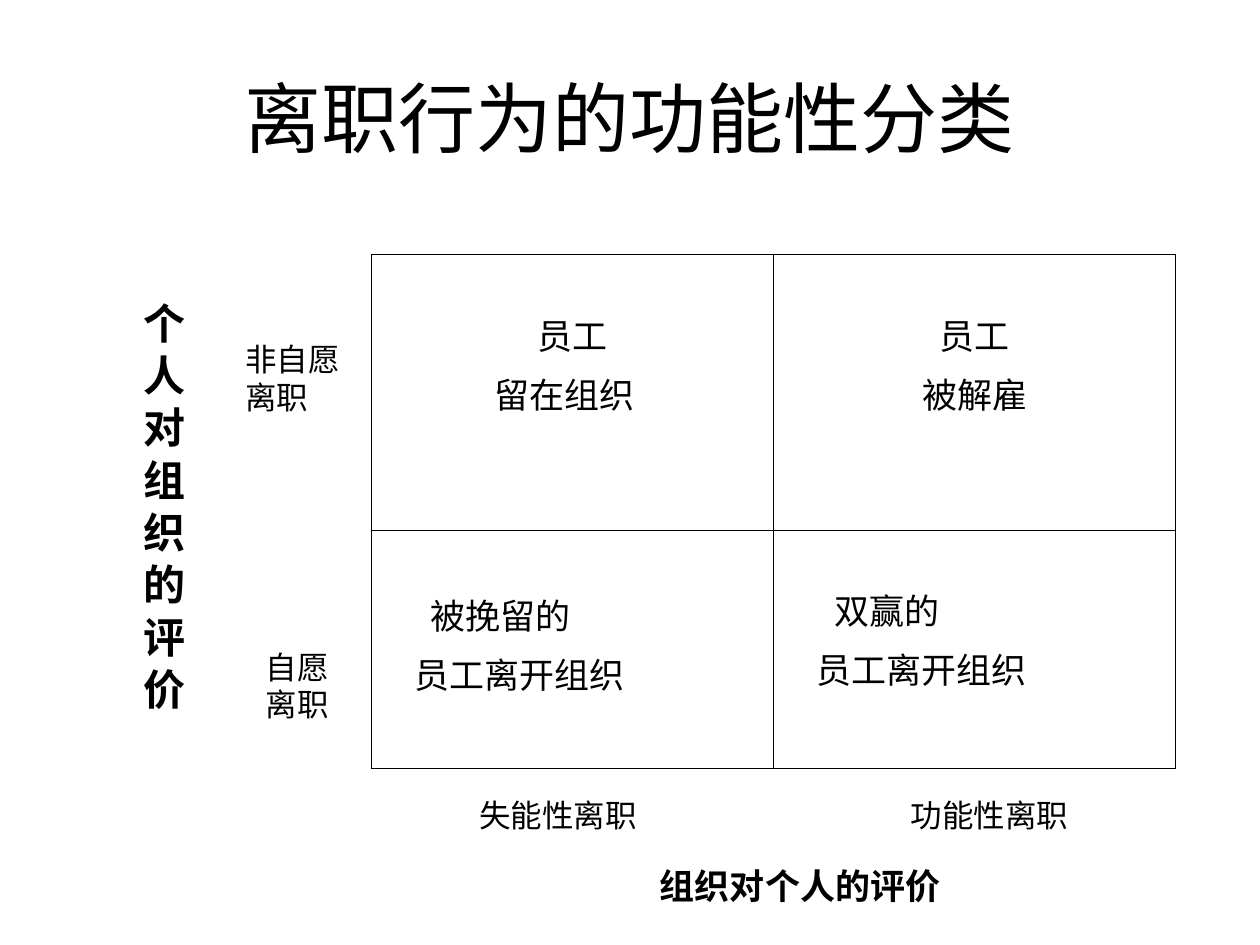
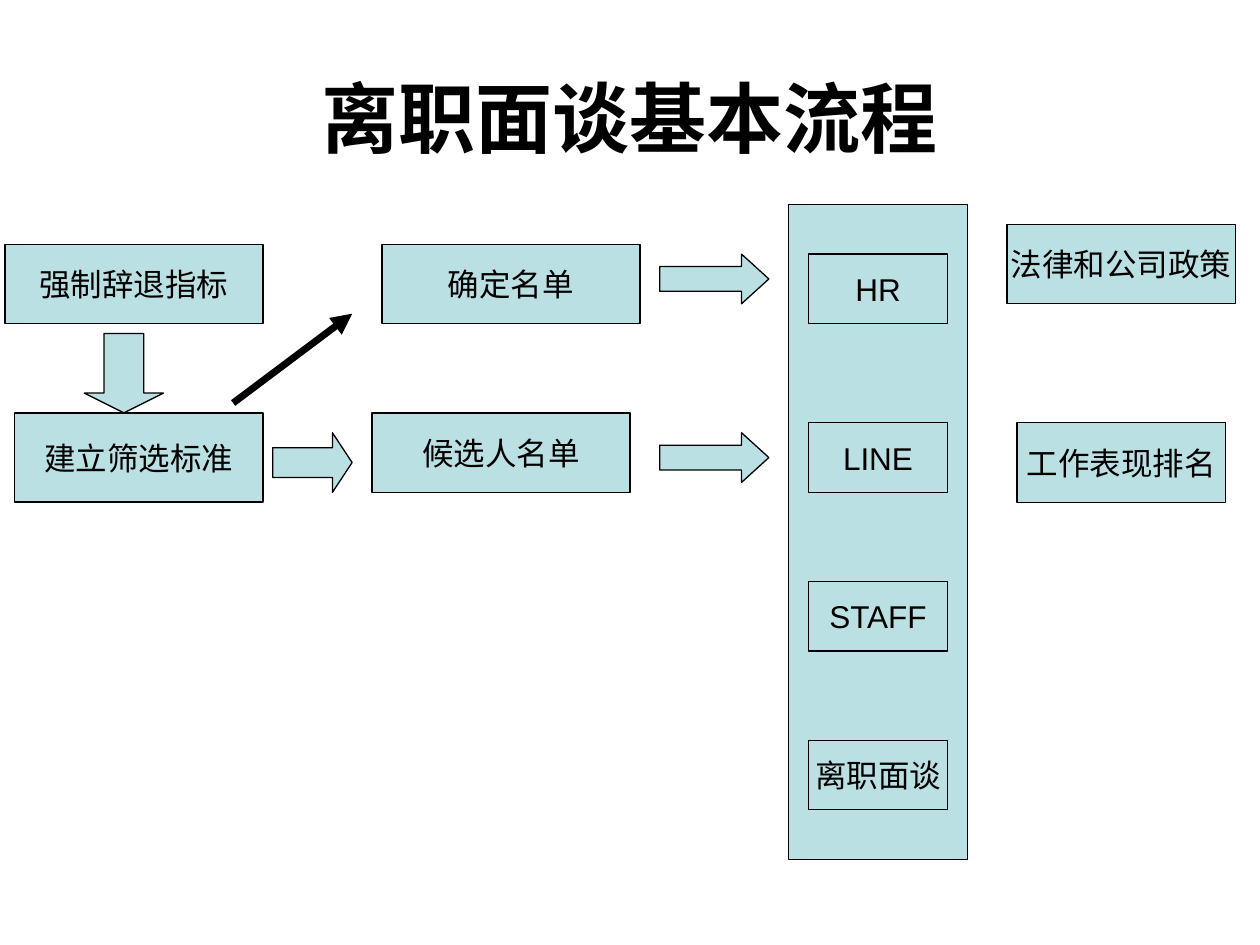
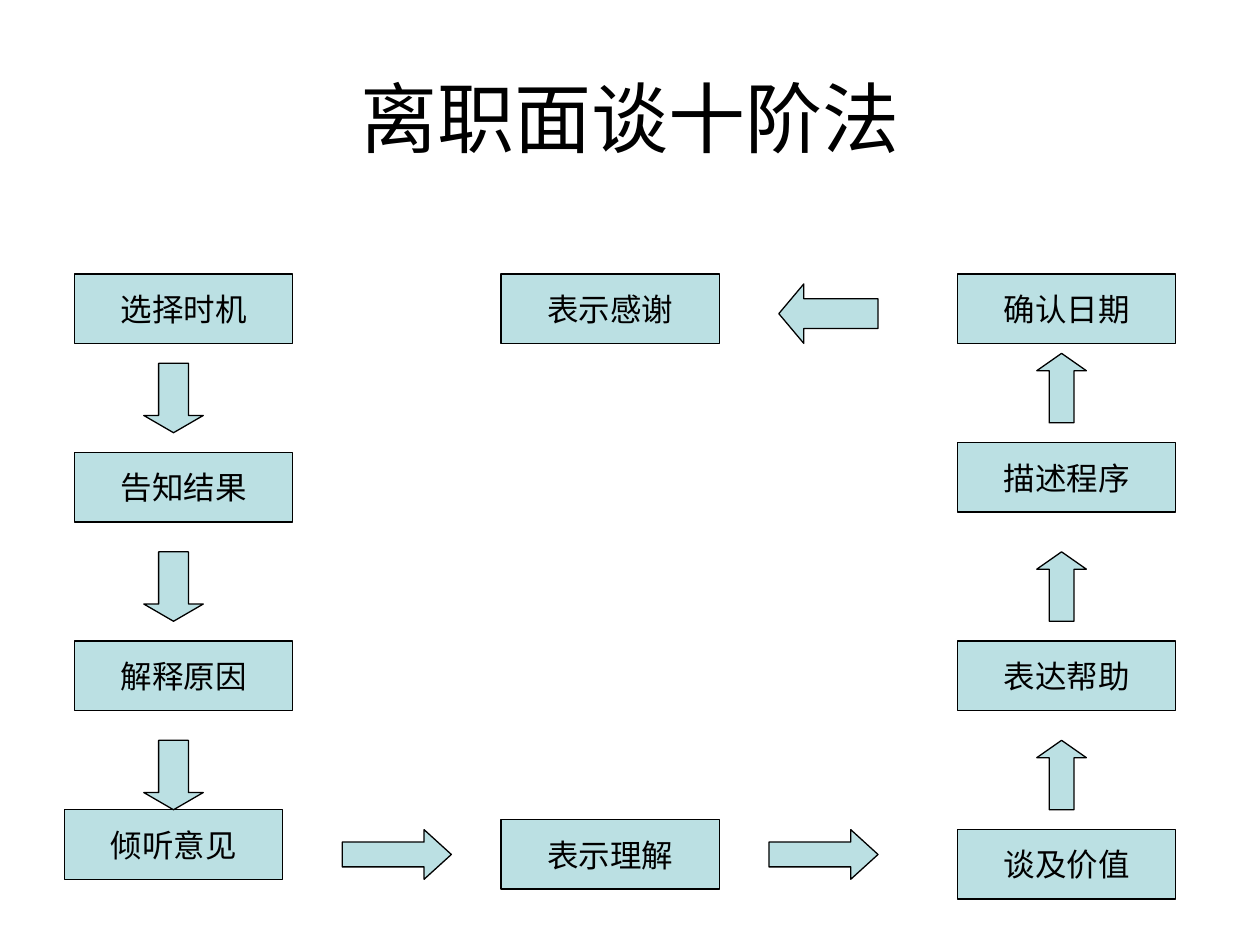
from dataclasses import dataclass

from lxml import etree
from pptx import Presentation
from pptx import util as u
from pptx.dml.color import RGBColor
from pptx.enum import shapes, text
from pptx.oxml import ns


@dataclass(frozen=True)
class Theme:
    ink: str = "000000"
    fill: str = "BBE0E3"
    latin: str = "Arial"
    chinese: str = "Noto Sans CJK SC"
    title: int = 44
    axis: int = 24
    cell: int = 20
    body: int = 18
    outline: float = 0.75
    table_line: float = 0.45
    arrow_line: float = 4
    leading: float = 1.2


THEME = Theme()
CENTER = text.PP_ALIGN.CENTER
MIDDLE = text.MSO_ANCHOR.MIDDLE
SHAPE = shapes.MSO_SHAPE

# Flow charts sit on a square grid; places below are in grid steps
STEP, GRID_LEFT, GRID_TOP = 5.67, 2.8, 3.5

# Slide 1: matrix of leaving behaviour
MATRIX_TITLE = "离职行为的功能性分类"
MATRIX_AT = (212.4, 145.4)
COLUMN_WIDTH = 229.7
ROW_HEIGHTS = (157.5, 136)
# Cell lines, then alignment, left and top margin, indent per line, right indent per line
MATRIX = [
    [(["员工", "留在组织"], CENTER, 7.2, 31, (0, 0), (0, 9)),
     (["员工", "被解雇"], CENTER, 7.2, 31, (0, 0), (0, 0))],
    [(["被挽留的", "员工离开组织"], None, 24.5, 33.5, (9, 0), (0, 0)),
     (["双赢的", "员工离开组织"], None, 24.5, 30.5, (10, 0), (0, 0))],
]
MATRIX_LABELS = [
    (["非自愿", "离职"], (133.2, 190.8, 124.6, 50.4), THEME.body, False),
    (["自愿", "离职"], (144.7, 366.5, 74.9, 50.4), THEME.body, False),
    (["失能性离职"], (266.7, 451.4, 150, 28.8), THEME.body, False),
    (["功能性离职"], (513.4, 451.4, 138.2, 28.8), THEME.body, False),
    (["组织对个人的评价"], (370, 490.3, 177.1, 31.7), THEME.cell, True),
]
AXIS_LABEL = "个 人 对 组 织 的 评 价"
AXIS_AT = (67.7, 165.6, 43.2, 319.7)

# Slide 2: column, row, width, height
PROCESS_TITLE = "离职面谈基本流程"
PANEL = (79, 20, 18, 66)
PROCESS_BOXES = [
    ("强制辞退指标", 0, 24, 26, 8),
    ("建立筛选标准", 1, 41, 25, 9),
    ("确定名单", 38, 24, 26, 8),
    ("候选人名单", 37, 41, 26, 8),
    ("HR", 81, 25, 14, 7),
    ("LINE", 81, 42, 14, 7),
    ("STAFF", 81, 58, 14, 7),
    ("离职面谈", 81, 74, 14, 7),
    ("法律和公司政策", 101, 22, 23, 8),
    ("工作表现排名", 102, 42, 21, 8),
]
PROCESS_ARROWS = [
    (SHAPE.DOWN_ARROW, 0.25, (8, 33, 8, 8)),
    (SHAPE.RIGHT_ARROW, 0.33, (27, 43, 8, 6)),
    (SHAPE.RIGHT_ARROW, 0.55, (66, 25, 11, 5)),
    (SHAPE.RIGHT_ARROW, 0.55, (66, 43, 11, 5)),
]
SHORTCUT = ((23, 40), (35, 31))

# Slide 3: equal boxes, then arrows by kind
STEPS_TITLE = "离职面谈十阶法"
STEP_SIZE = (22, 7)
STEPS = [
    ("选择时机", 7, 27), ("告知结果", 7, 45), ("解释原因", 7, 64),
    ("倾听意见", 6, 81), ("表示理解", 50, 82), ("谈及价值", 96, 83),
    ("表达帮助", 96, 64), ("描述程序", 96, 44), ("确认日期", 96, 27),
    ("表示感谢", 50, 27),
]
STEP_ARROWS = (
    [(SHAPE.DOWN_ARROW, 0.29, (14, row, 6, 7)) for row in (36, 55, 74)]
    + [(SHAPE.RIGHT_ARROW, 0.55, (column, 83, 11, 5)) for column in (34, 77)]
    + [(SHAPE.UP_ARROW, 0.35, (104, row, 5, 7)) for row in (74, 55, 35)]
    + [(SHAPE.LEFT_ARROW, 0.42, (78, 28, 10, 6))]
)


def points(values):
    return [u.Pt(value) for value in values]


def color(value):
    return RGBColor.from_string(value)


def grid(column, row):
    return GRID_LEFT + column * STEP, GRID_TOP + row * STEP


def write(frame, lines, size=THEME.body, bold=False, font=THEME.latin, align=None,
          leading=THEME.leading, before=0, anchor=None, wrap=True):
    """Fill a text frame, one paragraph a line."""
    frame.word_wrap = wrap
    if anchor is not None:
        frame.vertical_anchor = anchor
    for number, line in enumerate(lines):
        para = frame.add_paragraph() if number else frame.paragraphs[0]
        para.alignment = align
        if leading:
            para.line_spacing = u.Pt(size * leading)
        if number and before:
            para.space_before = u.Pt(before)
        span = para.add_run()
        span.text = line
        span.font.size, span.font.bold, span.font.name = u.Pt(size), bold, font
        span.font.color.rgb = color(THEME.ink)
        etree.SubElement(span.font._element, ns.qn("a:ea"), typeface=font)


def add_text(page, lines, place, **style):
    box = page.shapes.add_textbox(*points(place))
    write(box.text_frame, lines, **style)
    return box


def add_page(deck, title, bold=False):
    page = deck.slides.add_slide(deck.slide_layouts[6])
    add_text(page, [title], (36, 21.6, 648, 90), size=THEME.title, bold=bold,
             align=CENTER, anchor=MIDDLE)
    return page


def add_block(page, kind, place, label=None):
    column, row, width, height = place
    block = page.shapes.add_shape(
        kind, *points((*grid(column, row), width * STEP, height * STEP)))
    block.shadow.inherit = False
    block.fill.solid()
    block.fill.fore_color.rgb = color(THEME.fill)
    block.line.color.rgb = color(THEME.ink)
    block.line.width = u.Pt(THEME.outline)
    if label:
        write(block.text_frame, [label], align=CENTER, anchor=MIDDLE, wrap=False)
    return block


def add_arrows(page, arrows):
    for kind, head, place in arrows:
        add_block(page, kind, place).adjustments[1] = head


def add_line_arrow(page, start, end):
    line = page.shapes.add_connector(
        shapes.MSO_CONNECTOR.STRAIGHT, *points((*grid(*start), *grid(*end))))
    line.line.color.rgb = color(THEME.ink)
    line.line.width = u.Pt(THEME.arrow_line)
    etree.SubElement(line.line._get_or_add_ln(), ns.qn("a:tailEnd"), type="triangle")
    etree.SubElement(line._element.spPr, ns.qn("a:effectLst"))


def add_borders(cell):
    properties = cell._tc.get_or_add_tcPr()
    for number, side in enumerate(("lnL", "lnR", "lnT", "lnB")):
        border = etree.Element(ns.qn(f"a:{side}"), w=str(u.Pt(THEME.table_line)))
        fill = etree.SubElement(border, ns.qn("a:solidFill"))
        etree.SubElement(fill, ns.qn("a:srgbClr"), val=THEME.ink)
        properties.insert(number, border)


def add_matrix(page):
    size = (COLUMN_WIDTH * 2, sum(ROW_HEIGHTS))
    table = page.shapes.add_table(2, 2, *points((*MATRIX_AT, *size))).table
    table.first_row = table.horz_banding = False
    for column in table.columns:
        column.width = u.Pt(COLUMN_WIDTH)
    for row, height in zip(table.rows, ROW_HEIGHTS):
        row.height = u.Pt(height)
    for row, contents in zip(table.rows, MATRIX):
        for cell, (lines, align, left, top, indents, ends) in zip(row.cells, contents):
            cell.fill.background()
            add_borders(cell)
            cell.margin_left, cell.margin_top = points((left, top))
            write(cell.text_frame, lines, size=THEME.cell, font=THEME.chinese,
                  align=align, leading=None, before=5)
            for para, indent, end in zip(cell.text_frame.paragraphs, indents, ends):
                properties = para._p.get_or_add_pPr()
                properties.set("marL", str(u.Pt(indent)))
                properties.set("marR", str(u.Pt(end)))


def build_matrix(deck):
    page = add_page(deck, MATRIX_TITLE)
    axis = add_text(page, [AXIS_LABEL], AXIS_AT, size=THEME.axis, bold=True,
                    font=THEME.chinese, align=CENTER, leading=None)
    frame = axis.text_frame
    frame.margin_left = frame.margin_right = u.Pt(3.6)
    frame.margin_top = frame.margin_bottom = u.Pt(7.2)
    frame._bodyPr.set("vert", "eaVert")
    for lines, place, size, bold in MATRIX_LABELS:
        add_text(page, lines, place, size=size, bold=bold)
    add_matrix(page)


def build_process(deck):
    page = add_page(deck, PROCESS_TITLE, bold=True)
    add_block(page, SHAPE.RECTANGLE, PANEL)
    for label, *place in PROCESS_BOXES:
        add_block(page, SHAPE.RECTANGLE, place, label)
    add_arrows(page, PROCESS_ARROWS)
    add_line_arrow(page, *SHORTCUT)


def build_steps(deck):
    page = add_page(deck, STEPS_TITLE)
    for label, column, row in STEPS:
        add_block(page, SHAPE.RECTANGLE, (column, row, *STEP_SIZE), label)
    add_arrows(page, STEP_ARROWS)


def main():
    deck = Presentation()
    deck.slide_width, deck.slide_height = points((720, 540))
    build_matrix(deck)
    build_process(deck)
    build_steps(deck)
    deck.save("out.pptx")


if __name__ == "__main__":
    main()
